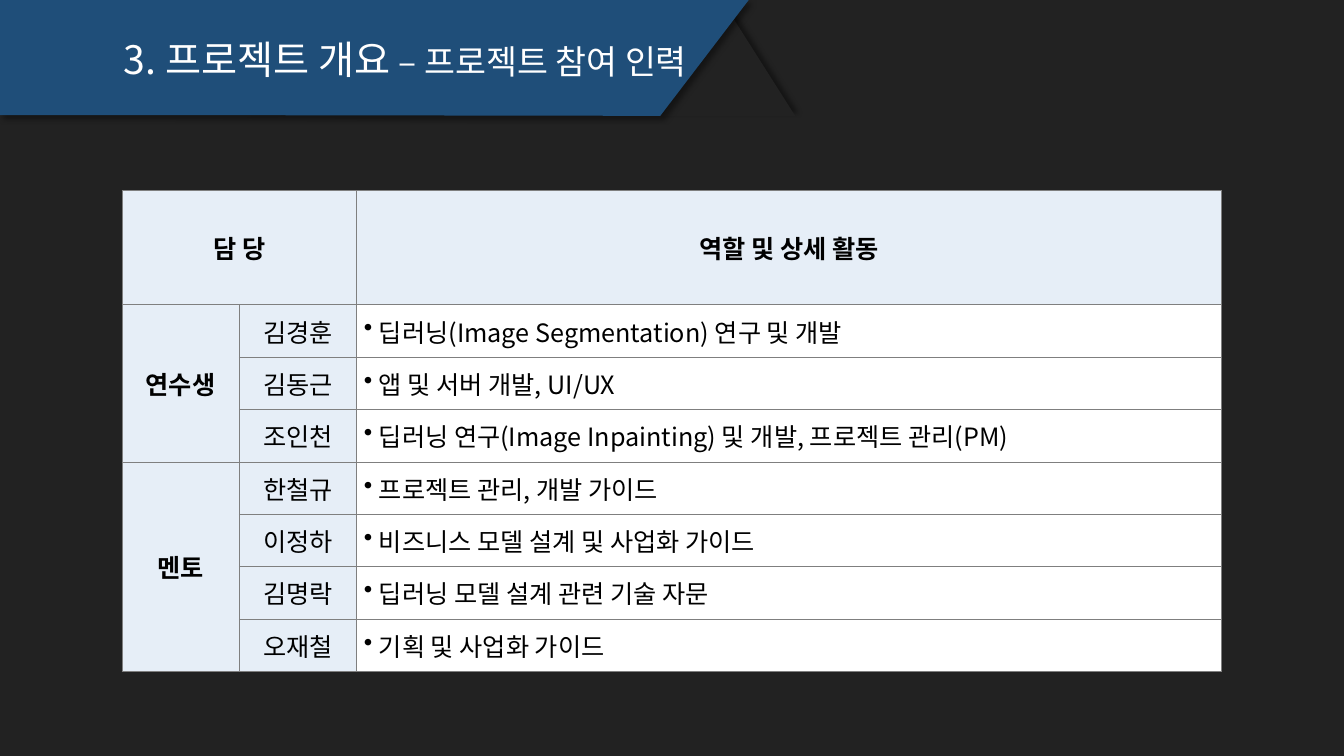
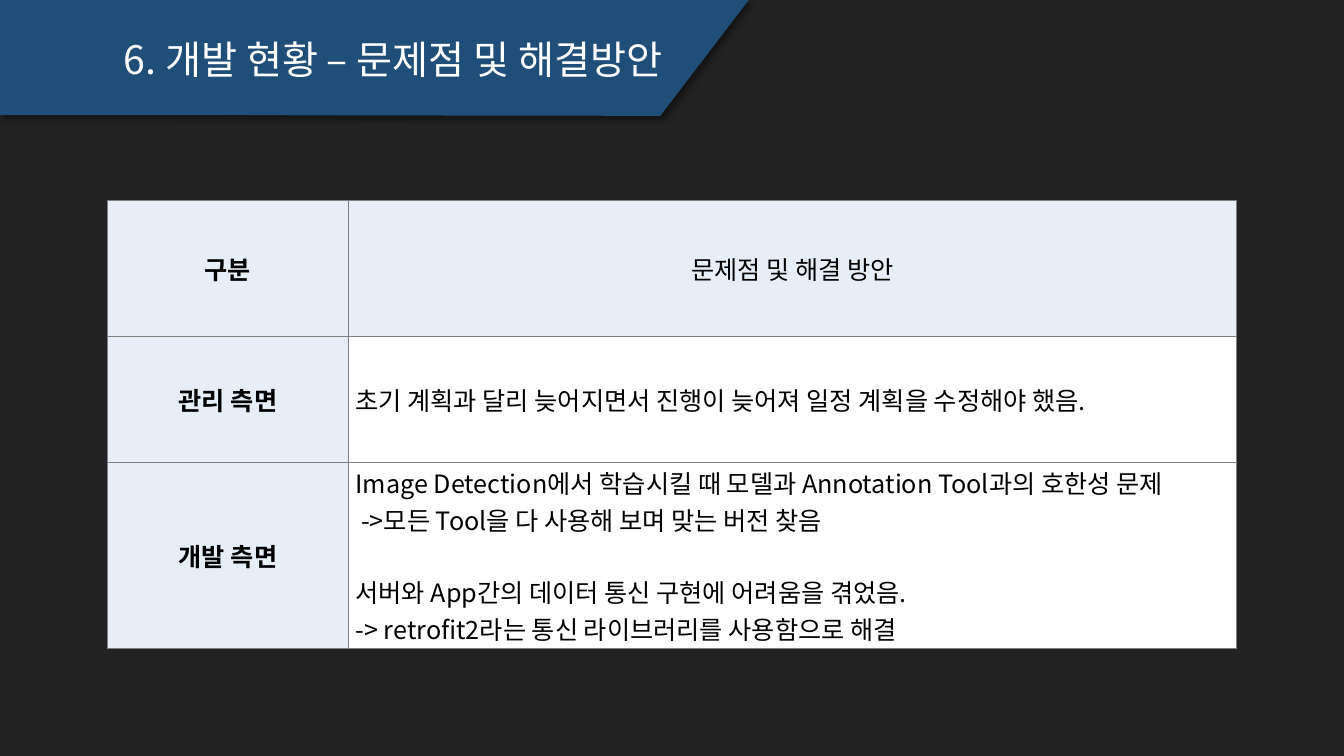
from lxml import etree
from pptx import Presentation
from pptx.dml.color import RGBColor
from pptx.enum.shapes import MSO_SHAPE
from pptx.enum.text import MSO_ANCHOR, MSO_AUTO_SIZE, PP_ALIGN
from pptx.oxml.ns import qn
from pptx.util import Cm, Pt

TRIANGLE = MSO_SHAPE.ISOSCELES_TRIANGLE
MIDDLE = MSO_ANCHOR.MIDDLE
NO_FIT = MSO_AUTO_SIZE.NONE
LEFT, CENTER, JUSTIFY = PP_ALIGN.LEFT, PP_ALIGN.CENTER, PP_ALIGN.JUSTIFY

FONT = "Noto Sans CJK KR"
DARK, BLUE, PALE = "222222", "1F4E79", "E6EEF7"
WHITE, BLACK, GREY = "FFFFFF", "000000", "7F7F7F"
TITLE_ONLY = 5
BODY_SIZE = 18
BULLET_INDENT = Cm(0.38)
BAND_POINTS = [(0, 0), (18.87, 0), (16.64, 2.92), (3.94, 2.9), (0, 2.9)]

TEAM = [
    ("연수생", [
        ("김경훈", "딥러닝(Image Segmentation) 연구 및 개발"),
        ("김동근", "앱 및 서버 개발, UI/UX"),
        ("조인천", "딥러닝 연구(Image Inpainting) 및 개발, 프로젝트 관리(PM)"),
    ]),
    ("멘토", [
        ("한철규", "프로젝트 관리, 개발 가이드"),
        ("이정하", "비즈니스 모델 설계 및 사업화 가이드"),
        ("김명락", "딥러닝 모델 설계 관련 기술 자문"),
        ("오재철", "기획 및 사업화 가이드"),
    ]),
]
ISSUES = [
    ("관리 측면", [["초기 계획과 달리 늦어지면서 진행이 늦어져 일정 계획을 수정해야 했음."]]),
    ("개발 측면", [
        ["Image Detection에서 학습시킬 때 모델과 Annotation Tool과의 호한성 문제",
         " ->모든 Tool을 다 사용해 보며 맞는 버전 찾음"],
        ["서버와 App간의 데이터 통신 구현에 어려움을 겪었음.",
         "-> retrofit2라는 통신 라이브러리를 사용함으로 해결"],
    ]),
]


def color(value):
    """Turn a hex string into a colour."""
    return RGBColor.from_string(value)


def add_child(parent, tag, **attributes):
    """Append an XML element with the given attributes."""
    child = etree.SubElement(parent, qn(tag))
    for name, value in attributes.items():
        child.set(name, str(value))
    return child


def add_run(paragraph, text, size, text_color, bold=False):
    """Add one formatted run to a paragraph."""
    run = paragraph.add_run()
    run.text = text
    run.font.name = FONT
    run.font.size = Pt(size)
    run.font.bold = bold
    run.font.color.rgb = color(text_color)
    add_child(run.font._element, "a:ea", typeface=FONT)


def style_shape(shape, fill, shadow_angle):
    """Give a shape a plain fill, no outline and a soft shadow."""
    shape.fill.solid()
    shape.fill.fore_color.rgb = color(fill)
    shape.line.fill.background()
    shape.shadow.inherit = False
    effects = shape._element.spPr.find(qn("a:effectLst"))
    shadow = add_child(effects, "a:outerShdw", blurRad=Pt(4), dist=Pt(3),
                       dir=shadow_angle * 60000, algn="ctr", rotWithShape=0)
    shadow_color = add_child(shadow, "a:srgbClr", val=BLACK)
    add_child(shadow_color, "a:alpha", val=40000)


def add_fold(slide):
    """Add the dark triangle behind the end of the title band."""
    fold = slide.shapes.add_shape(TRIANGLE, Cm(16.69), Cm(0.28), Cm(3.35), Cm(2.64))
    style_shape(fold, DARK, 315)


def add_band(slide):
    """Add the slanted title band."""
    start, *others = [(Cm(x), Cm(y)) for x, y in BAND_POINTS]
    builder = slide.shapes.build_freeform(*start)
    builder.add_line_segments(others, close=True)
    style_shape(builder.convert_to_shape(), BLUE, 45)


def add_title(slide, parts):
    """Place the title in front of the band, one run per (text, size)."""
    title = slide.shapes.title
    title.left, title.top = Cm(2.87), Cm(0.76)
    title.width, title.height = Cm(16.51), Cm(1.45)
    frame = title.text_frame
    frame.word_wrap = True
    frame.auto_size = NO_FIT
    frame.vertical_anchor = MIDDLE
    paragraph = frame.paragraphs[0]
    paragraph.alignment = LEFT
    for text, size in parts:
        add_run(paragraph, text, size, WHITE)
    slide.shapes._spTree.append(title._element)


def add_slide(presentation, title_parts, folded=False):
    """Add a slide with its band and title."""
    slide = presentation.slides.add_slide(presentation.slide_layouts[TITLE_ONLY])
    if folded:
        add_fold(slide)
    add_band(slide)
    add_title(slide, title_parts)
    return slide


def style_cell(cell, fill):
    """Set the margins, borders and fill of a cell."""
    cell.vertical_anchor = MIDDLE
    cell.margin_left = cell.margin_right = Cm(0.18)
    cell.margin_top = cell.margin_bottom = Cm(0.05)
    properties = cell._tc.get_or_add_tcPr()
    for side in ("a:lnL", "a:lnR", "a:lnT", "a:lnB"):
        border = add_child(properties, side, w=Pt(0.5))
        add_child(add_child(border, "a:solidFill"), "a:srgbClr", val=GREY)
    cell.fill.solid()
    cell.fill.fore_color.rgb = color(fill)


def add_grid(slide, left, top, widths, heights):
    """Add a table whose last column is white below the heading row."""
    frame = slide.shapes.add_table(len(heights), len(widths), Cm(left), Cm(top),
                                   Cm(sum(widths)), Cm(sum(heights)))
    table = frame.table
    for column, width in zip(table.columns, widths):
        column.width = Cm(width)
    for row_index, (row, height) in enumerate(zip(table.rows, heights)):
        row.height = Cm(height)
        for column_index, cell in enumerate(row.cells):
            is_body = row_index > 0 and column_index == len(widths) - 1
            style_cell(cell, WHITE if is_body else PALE)
    return table


def write_label(cell, text, bold=True):
    """Write a centred label."""
    paragraph = cell.text_frame.paragraphs[0]
    paragraph.alignment = CENTER
    add_run(paragraph, text, BODY_SIZE, BLACK, bold)


def write_bullet(cell, text):
    """Write one bulleted line."""
    paragraph = cell.text_frame.paragraphs[0]
    paragraph.alignment = JUSTIFY
    properties = paragraph._p.get_or_add_pPr()
    properties.set("marL", str(BULLET_INDENT))
    properties.set("indent", str(-BULLET_INDENT))
    add_child(properties, "a:buChar", char="•")
    add_run(paragraph, text, BODY_SIZE, BLACK)


def write_groups(cell, groups):
    """Write groups of lines, with a gap between groups."""
    frame = cell.text_frame
    for group_index, lines in enumerate(groups):
        for line_index, line in enumerate(lines):
            is_first = group_index == line_index == 0
            paragraph = frame.paragraphs[0] if is_first else frame.add_paragraph()
            paragraph.alignment = LEFT
            if group_index > 0 and line_index == 0:
                paragraph.space_before = Pt(26)
            add_run(paragraph, line, BODY_SIZE, BLACK)


def add_team_table(slide):
    """Add the table of members and their roles."""
    member_count = sum(len(members) for _, members in TEAM)
    table = add_grid(slide, 3.07, 4.8, [2.96, 2.96, 21.79], [2.88] + [1.32] * member_count)
    table.cell(0, 0).merge(table.cell(0, 1))
    write_label(table.cell(0, 0), "담 당")
    write_label(table.cell(0, 2), "역할 및 상세 활동")
    row = 1
    for group, members in TEAM:
        table.cell(row, 0).merge(table.cell(row + len(members) - 1, 0))
        write_label(table.cell(row, 0), group)
        for name, role in members:
            write_label(table.cell(row, 1), name, bold=False)
            write_bullet(table.cell(row, 2), role)
            row += 1


def add_issue_table(slide):
    """Add the table of problems and solutions."""
    table = add_grid(slide, 2.71, 5.05, [6.07, 22.38], [3.42, 3.18, 4.69])
    write_label(table.cell(0, 0), "구분")
    write_label(table.cell(0, 1), "문제점 및 해결 방안", bold=False)
    for row, (aspect, groups) in enumerate(ISSUES, start=1):
        write_label(table.cell(row, 0), aspect)
        write_groups(table.cell(row, 1), groups)


def main():
    """Build and save the presentation."""
    presentation = Presentation()
    presentation.slide_width, presentation.slide_height = Cm(33.87), Cm(19.05)
    background = presentation.slide_master.background.fill
    background.solid()
    background.fore_color.rgb = color(DARK)

    team_title = [("3. 프로젝트 개요 ", 28), ("– 프로젝트 참여 인력", 24)]
    add_team_table(add_slide(presentation, team_title, folded=True))
    issue_title = [("6. 개발 현황 – 문제점 및 해결방안", 28)]
    add_issue_table(add_slide(presentation, issue_title))
    presentation.save("out.pptx")


if __name__ == "__main__":
    main()
